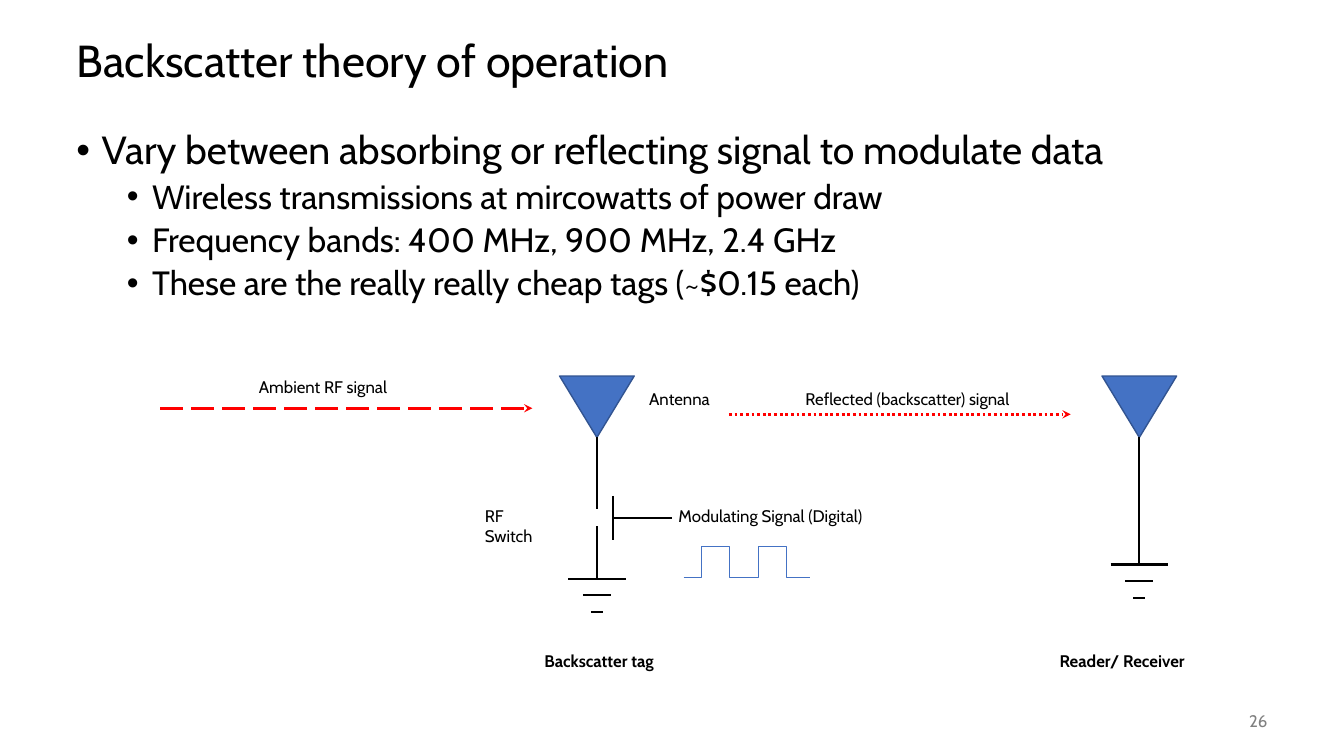
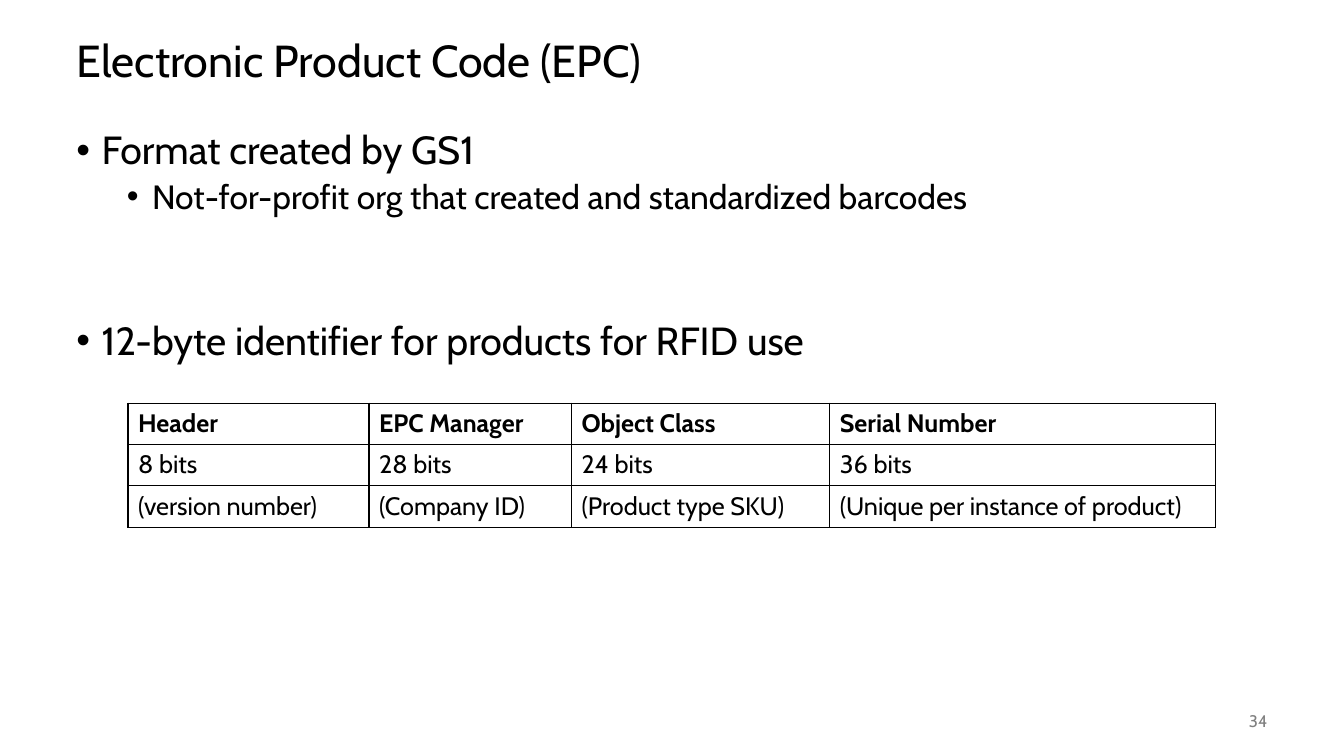
from dataclasses import dataclass

from pptx import Presentation
from pptx.dml.color import RGBColor
from pptx.enum import dml, shapes, text
from pptx.oxml.ns import qn
from pptx.util import Inches, Pt
from lxml import etree


@dataclass(frozen=True)
class Theme:
    font: str = "Cabin"
    ink: str = "000000"
    muted: str = "808080"
    accent: str = "4472C4"
    accent_edge: str = "325491"
    signal: str = "FF0000"
    title: int = 32
    bullets: tuple = (28, 24)
    cell: int = 18
    label: int = 12
    wire: float = 1.5
    arrow: float = 2
    thin: float = 0.5
    border: float = 1


THEME = Theme()
TITLE_ONLY = 5
LEVEL_INDENTS = (0.25, 0.75)
LEVEL_SPACING = (14, 5)
ANTENNA_TOP, ANTENNA_WIDTH, ANTENNA_HEIGHT = 3.73, 0.74, 0.61
ANTENNA_TIP = ANTENNA_TOP + ANTENNA_HEIGHT


def rgb(value):
    return RGBColor.from_string(value)


def style(paragraph, size, color=THEME.ink, bold=False):
    font = paragraph.font
    font.name, font.size, font.bold = THEME.font, Pt(size), bold
    font.color.rgb = rgb(color)


def add_text_frame(slide, left, top, width, height):
    box = slide.shapes.add_textbox(*map(Inches, (left, top, width, height)))
    box.text_frame.word_wrap = True
    return box.text_frame


def add_label(slide, words, left, top, width, bold=False):
    paragraph = add_text_frame(slide, left, top, width, 0.3).paragraphs[0]
    paragraph.text = words
    style(paragraph, THEME.label, bold=bold)


def add_content_slide(deck, title, number):
    """Add a slide with the shared title and page number."""
    slide = deck.slides.add_slide(deck.slide_layouts[TITLE_ONLY])
    heading = slide.shapes.title
    heading.left, heading.top = Inches(0.66), Inches(0.25)
    heading.width, heading.height = Inches(12), Inches(0.75)
    frame = heading.text_frame
    frame.text = title
    frame.auto_size = text.MSO_AUTO_SIZE.NONE
    frame.vertical_anchor = text.MSO_ANCHOR.MIDDLE
    paragraph = frame.paragraphs[0]
    paragraph.alignment = text.PP_ALIGN.LEFT
    paragraph.line_spacing = 0.9
    style(paragraph, THEME.title)

    frame = add_text_frame(slide, 11.67, 6.95, 1, 0.4)
    frame.vertical_anchor = text.MSO_ANCHOR.MIDDLE
    paragraph = frame.paragraphs[0]
    paragraph.text = str(number)
    paragraph.alignment = text.PP_ALIGN.RIGHT
    style(paragraph, THEME.label, THEME.muted)
    return slide


def add_bullets(slide, items):
    """Items are (level, words), with an optional space before in points."""
    frame = add_text_frame(slide, 0.66, 1.25, 12, 5.5)
    for index, (level, words, *space) in enumerate(items):
        paragraph = frame.add_paragraph() if index else frame.paragraphs[0]
        paragraph.text = words
        paragraph.level = level
        properties = paragraph._p.get_or_add_pPr()
        properties.set("marL", str(Inches(LEVEL_INDENTS[level])))
        properties.set("indent", str(Inches(-0.25)))
        etree.SubElement(properties, qn("a:buFont"), typeface="Arial")
        etree.SubElement(properties, qn("a:buChar"), char="•")
        paragraph.line_spacing = 0.9
        if index:
            paragraph.space_before = Pt(space[0] if space else LEVEL_SPACING[level])
        style(paragraph, THEME.bullets[level])


def add_line(slide, start, end, color=THEME.ink, width=THEME.wire):
    connector = slide.shapes.add_connector(
        shapes.MSO_CONNECTOR.STRAIGHT, *map(Inches, (*start, *end)))
    connector.line.color.rgb = rgb(color)
    connector.line.width = Pt(width)
    etree.SubElement(connector._element.spPr, qn("a:effectLst"))
    return connector


def add_signal_arrow(slide, left, right, y, dash):
    arrow = add_line(slide, (left, y), (right, y), THEME.signal, THEME.arrow)
    arrow.line.dash_style = dash
    etree.SubElement(arrow.line._get_or_add_ln(), qn("a:tailEnd"), type="stealth")


def add_antenna(slide, center):
    antenna = slide.shapes.add_shape(
        shapes.MSO_SHAPE.ISOSCELES_TRIANGLE,
        *map(Inches, (center - ANTENNA_WIDTH / 2, ANTENNA_TOP,
                      ANTENNA_WIDTH, ANTENNA_HEIGHT)))
    antenna.rotation = 180
    antenna.shadow.inherit = False
    antenna.fill.solid()
    antenna.fill.fore_color.rgb = rgb(THEME.accent)
    antenna.line.color.rgb = rgb(THEME.accent_edge)
    antenna.line.width = Pt(1)


def add_ground(slide, center, top):
    for step, width in enumerate((0.57, 0.28, 0.12)):
        y = top + step * 0.165
        add_line(slide, (center - width / 2, y), (center + width / 2, y))


def add_square_wave(slide, edges, high, low):
    """Draw a wave that starts low and switches at each inner edge."""
    start, *switches, end = map(Inches, edges)
    high, low = Inches(high), Inches(low)
    points, level = [], low
    for x in switches:
        points.append((x, level))
        level = high if level == low else low
        points.append((x, level))
    points.append((end, level))
    builder = slide.shapes.build_freeform(start, low)
    builder.add_line_segments(points, close=False)
    wave = builder.convert_to_shape()
    wave.shadow.inherit = False
    wave.fill.background()
    wave.line.color.rgb = rgb(THEME.accent)
    wave.line.width = Pt(THEME.thin)


def add_cell_borders(cell):
    properties = cell._tc.get_or_add_tcPr()
    for index, side in enumerate(("a:lnL", "a:lnR", "a:lnT", "a:lnB")):
        border = etree.Element(qn(side), w=str(Pt(THEME.border)))
        fill = etree.SubElement(border, qn("a:solidFill"))
        etree.SubElement(fill, qn("a:srgbClr"), val=THEME.ink)
        properties.insert(index, border)


def add_grid(slide, rows, left, top, widths, row_height):
    table = slide.shapes.add_table(
        len(rows), len(widths),
        *map(Inches, (left, top, sum(widths), row_height * len(rows)))).table
    table.horz_banding = False
    for column, width in zip(table.columns, widths):
        column.width = Inches(width)
    for row_index, row in enumerate(rows):
        for column_index, words in enumerate(row):
            cell = table.cell(row_index, column_index)
            cell.text = words
            cell.fill.background()
            style(cell.text_frame.paragraphs[0], THEME.cell, bold=row_index == 0)
            add_cell_borders(cell)


def build_backscatter(deck):
    slide = add_content_slide(deck, "Backscatter theory of operation", 26)
    add_bullets(slide, [
        (0, "Vary between absorbing or reflecting signal to modulate data"),
        (1, "Wireless transmissions at mircowatts of power draw"),
        (1, "Frequency bands: 400 MHz, 900 MHz, 2.4 GHz"),
        (1, "These are the really really cheap tags (~$0.15 each)"),
    ])

    tag, tag_ground = 5.92, 5.74
    reader, reader_ground = 11.3, 5.6
    gate, gate_middle = 6.08, 5.14
    for center, ground in ((tag, tag_ground), (reader, reader_ground)):
        add_antenna(slide, center)
        add_ground(slide, center, ground)
    add_line(slide, (tag, ANTENNA_TIP), (tag, 5.05))
    add_line(slide, (tag, 5.22), (tag, tag_ground))
    add_line(slide, (gate, gate_middle - 0.22), (gate, gate_middle + 0.22))
    add_line(slide, (gate, gate_middle), (6.67, gate_middle))
    add_line(slide, (reader, ANTENNA_TIP), (reader, reader_ground))
    add_square_wave(slide, (6.78, 6.96, 7.23, 7.52, 7.8, 8.03), 5.42, 5.73)

    add_signal_arrow(slide, 1.59, 5.28, 4.05, dml.MSO_LINE.LONG_DASH)
    add_signal_arrow(slide, 7.23, 10.62, 4.11, dml.MSO_LINE.ROUND_DOT)

    for words, left, top, width in (
            ("RF Switch", 4.71, 4.97, 0.89),
            ("Modulating Signal (Digital)", 6.63, 4.97, 2.18),
            ("Antenna", 6.34, 3.81, 0.89),
            ("Ambient RF signal", 2.47, 3.69, 2.36),
            ("Reflected (backscatter) signal", 7.89, 3.81, 2.52)):
        add_label(slide, words, left, top, width)
    for words, left in (("Backscatter tag", 5.3), ("Reader/ Receiver", 10.41)):
        add_label(slide, words, left, 6.41, 1.82, bold=True)


def build_product_code(deck):
    slide = add_content_slide(deck, "Electronic Product Code (EPC)", 34)
    add_bullets(slide, [
        (0, "Format created by GS1"),
        (1, "Not-for-profit org that created and standardized barcodes"),
        (0, "12-byte identifier for products for RFID use", 75),
    ])
    add_grid(slide, [
        ("Header", "EPC Manager", "Object Class", "Serial Number"),
        ("8 bits", "28 bits", "24 bits", "36 bits"),
        ("(version number)", "(Company ID)", "(Product type SKU)",
         "(Unique per instance of product)"),
    ], 1.27, 4, (2.39, 2.01, 2.56, 3.83), 0.41)


def main():
    deck = Presentation()
    deck.slide_width, deck.slide_height = Inches(13.33), Inches(7.5)
    build_backscatter(deck)
    build_product_code(deck)
    deck.save("out.pptx")


if __name__ == "__main__":
    main()
